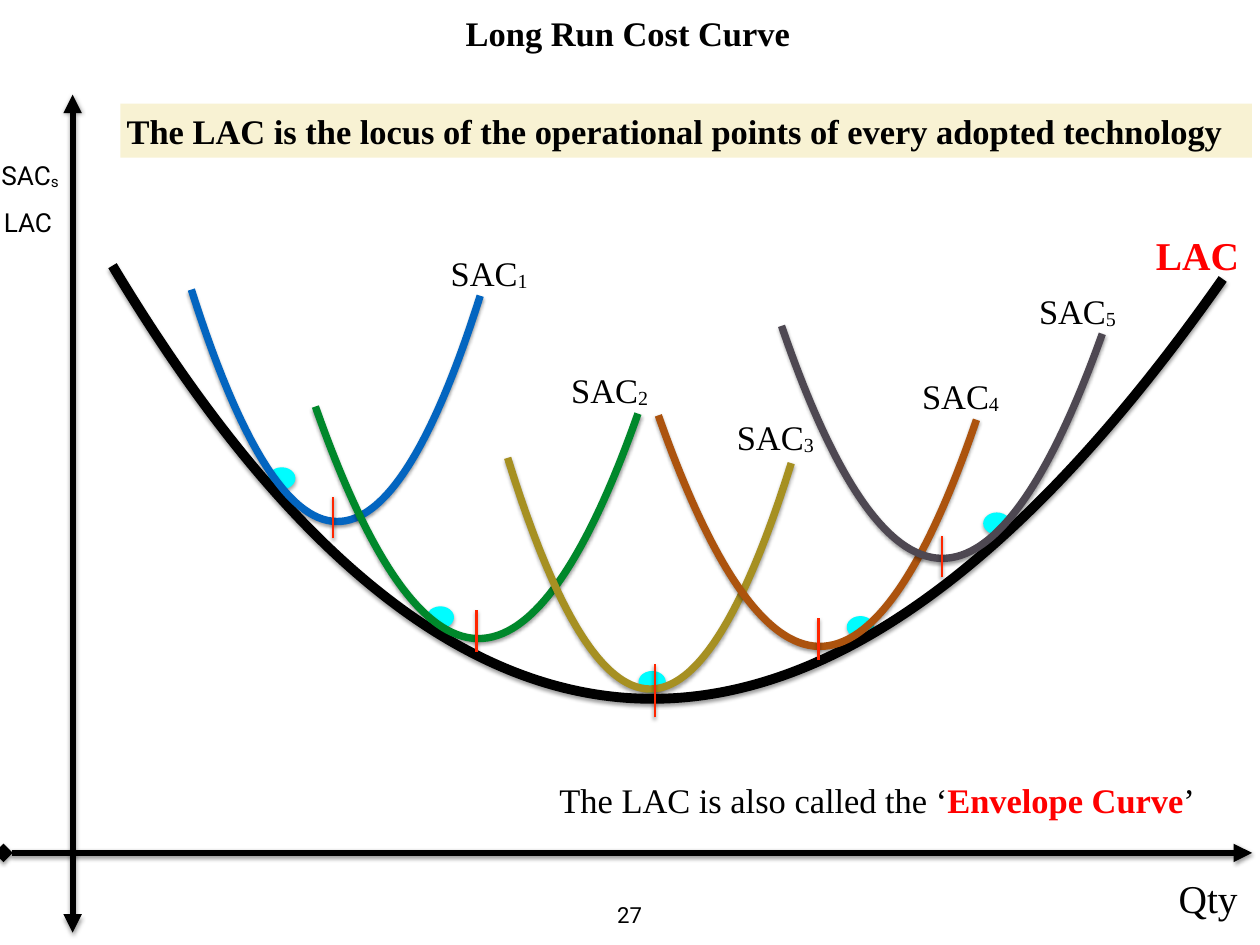
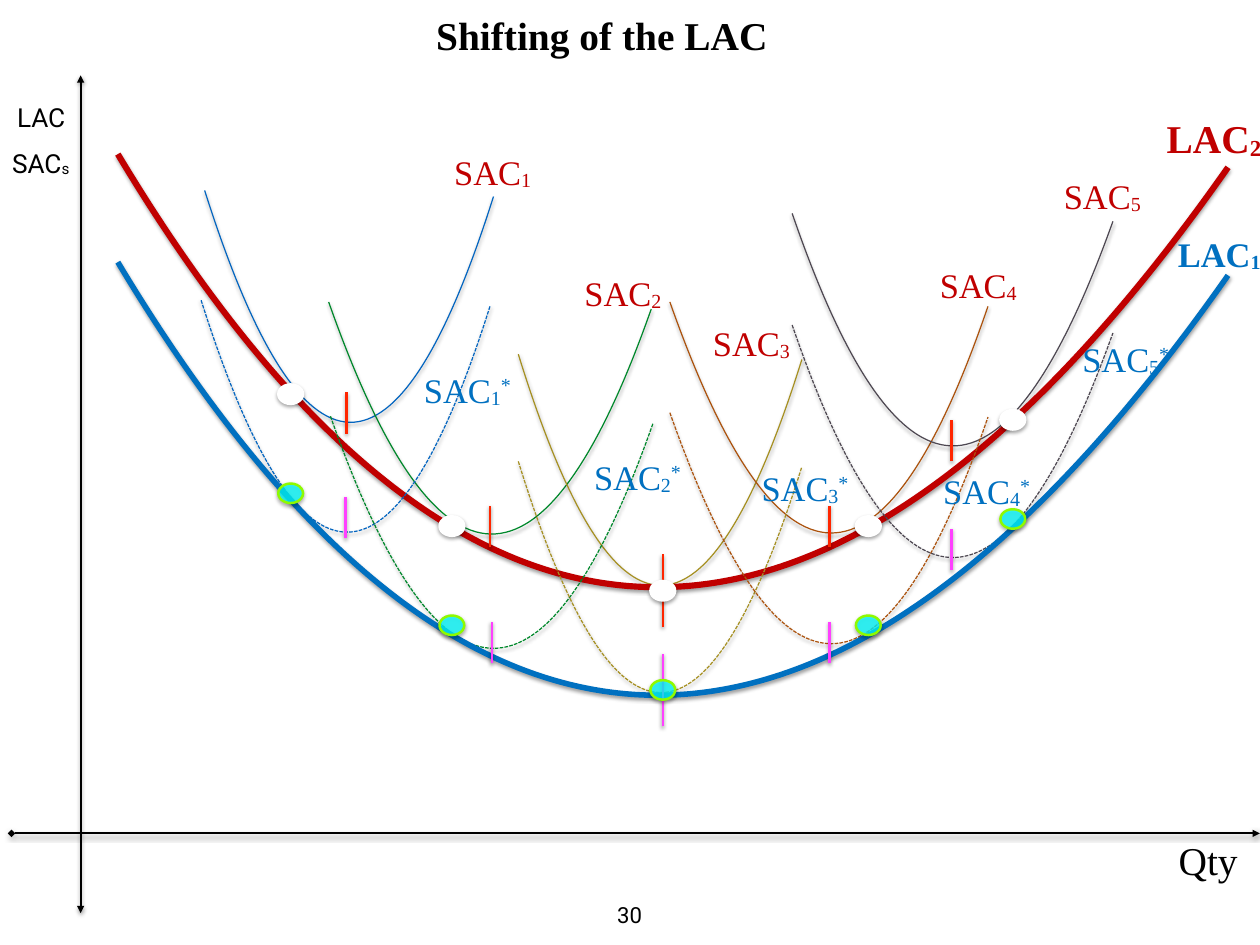
from dataclasses import dataclass
from typing import NamedTuple

from lxml.etree import SubElement
from pptx import Presentation
from pptx.dml.color import RGBColor
from pptx.enum.dml import MSO_LINE
from pptx.enum.shapes import MSO_CONNECTOR, MSO_SHAPE
from pptx.enum.text import MSO_ANCHOR, MSO_AUTO_SIZE as FIT, PP_ALIGN as ALIGN
from pptx.oxml.ns import qn
from pptx.util import Emu, Pt

PX = 9144


@dataclass(frozen=True)
class Theme:
    black: str = "000000"
    red: str = "FF0000"
    dark_red: str = "C00000"
    blue: str = "0070C0"
    cyan: str = "00FDFF"
    lime: str = "8EFA00"
    white: str = "FFFFFF"
    tick: str = "FF2600"
    tick_star: str = "FF40FF"
    banner: str = "F8F2D3"
    serif: str = "Times New Roman"
    sans: str = "Roboto"
    large: float = 32
    medium: float = 28
    axis: float = 21.3
    number: float = 18


THEME = Theme()


class Arc(NamedTuple):
    left_control: tuple
    right_control: tuple
    right_end: tuple


LAC_ARC = Arc((388, 647), (806, 652), (1253, 15))
SAC_ARCS = [
    ("0365C0", Arc((110, 347), (218, 349), (326, 7))),
    ("00882B", Arc((122, 347), (244, 349), (364, 8))),
    ("A69022", Arc((107, 346), (213, 348), (320, 6))),
    ("AC530E", Arc((122, 346), (242, 348), (359, 5))),
    ("4E4852", Arc((119, 347), (240, 350), (362, 9))),
]


def px(value):
    return Emu(round(value * PX))


def apply(target, values):
    for name, value in values.items():
        setattr(target, name, value)


def add_shadow(element, alpha, distance):
    properties = element.find(qn("p:spPr"))
    effects = properties.find(qn("a:effectLst"))
    if effects is None:
        effects = SubElement(properties, qn("a:effectLst"))
    shadow = SubElement(effects, qn("a:outerShdw"), blurRad=str(Pt(3)),
                        dist=str(Pt(distance)), dir="5400000", rotWithShape="0")
    colour = SubElement(shadow, qn("a:srgbClr"), val=THEME.black)
    SubElement(colour, qn("a:alpha"), val=str(alpha * 1000))


class CostDiagram:
    def __init__(self, deck):
        self.deck = deck

    def start(self, title, box, size, number):
        self.slide = self.deck.slides.add_slide(self.deck.slide_layouts[5])
        self.loose()
        heading = self.slide.shapes.title
        self.place(heading, box)
        self.set_runs(heading.text_frame, [(title, {"bold": True})], size=size,
                      inset=6, fit=FIT.NONE, wrap=True, anchor=MSO_ANCHOR.MIDDLE)
        self.text((688, 1012, 45, 42), [(number, {})], size=THEME.number,
                  font=THEME.sans, inset=6)

    def group(self):
        self.shapes = self.slide.shapes.add_group_shape().shapes

    def loose(self):
        self.shapes = self.slide.shapes

    def place(self, shape, box):
        apply(shape, dict(zip(("left", "top", "width", "height"), map(px, box))))

    def set_runs(self, frame, runs, size=THEME.medium, color=THEME.black,
                 font=THEME.serif, inset=7, align=ALIGN.CENTER, wrap=False,
                 fit=FIT.SHAPE_TO_FIT_TEXT, anchor=MSO_ANCHOR.TOP):
        apply(frame, {"word_wrap": wrap, "auto_size": fit, "vertical_anchor": anchor})
        apply(frame, {f"margin_{side}": px(inset)
                      for side in ("left", "top", "right", "bottom")})
        paragraph = frame.paragraphs[0]
        paragraph.alignment = align
        for words, changes in runs:
            run = paragraph.add_run()
            run.text = words
            style = {"size": Pt(size), "name": font, "bold": False, **changes}
            baseline = style.pop("baseline", 0)
            run.font.color.rgb = RGBColor.from_string(style.pop("color", color))
            apply(run.font, style)
            if baseline:
                run._r.get_or_add_rPr().set("baseline", str(baseline * 1000))

    def text(self, box, runs, **style):
        holder = self.shapes.add_textbox(*map(px, box))
        self.set_runs(holder.text_frame, runs, **style)

    def label(self, box, name, sub, star=False, bold=False, **style):
        runs = [(name, {"bold": bold}), (sub, {"bold": bold, "baseline": -6})]
        if star:
            runs.append(("*", {"baseline": 32}))
        self.text(box, runs, **style)

    def banner(self, box, words):
        band = self.shapes.add_shape(MSO_SHAPE.RECTANGLE, *map(px, box))
        band.shadow.inherit = False
        band.fill.solid()
        band.fill.fore_color.rgb = RGBColor.from_string(THEME.banner)
        band.line.fill.background()
        self.set_runs(band.text_frame, [(words, {"bold": True})],
                      align=ALIGN.JUSTIFY, wrap=True)

    def stroke(self, shape, color, width, dash=None):
        shape.line.color.rgb = RGBColor.from_string(color)
        apply(shape.line, {"width": Pt(width), "dash_style": dash})

    def line(self, start, end, color, width, head=None, tail=None):
        link = self.shapes.add_connector(MSO_CONNECTOR.STRAIGHT,
                                         *map(px, (*start, *end)))
        self.stroke(link, color, width)
        outline = link.element.find(f"{qn('p:spPr')}/{qn('a:ln')}")
        for tag, kind in (("a:headEnd", head), ("a:tailEnd", tail)):
            if kind:
                SubElement(outline, qn(tag), type=kind)
        add_shadow(link.element, 38, 1.6)

    def axes(self, x, y, width):
        self.line((x, y + 90), (x, y - 856), THEME.black, width,
                  "triangle", "triangle")
        self.line((x - 78, y), (x + 1331, y), THEME.black, width,
                  "diamond", "triangle")

    def axis_labels(self, lac, sac, qty):
        axis = {"size": THEME.axis, "font": THEME.sans}
        self.text((*qty, 83, 68), [("Qty", {})], size=THEME.large)
        self.text((*lac, 73, 50), [("LAC", {})], **axis)
        self.label((*sac, 84, 50), "SAC", "s", **axis)

    def curve(self, start, arc, color, width, dash=None):
        points = [start] + [(start[0] + dx, start[1] + dy) for dx, dy in arc]
        steps = [step / 200 for step in range(201)]
        weights = [((1 - t) ** 3, 3 * t * (1 - t) ** 2, 3 * t * t * (1 - t), t ** 3)
                   for t in steps]
        lowest = max((sum(w * p[1] for w, p in zip(row, points)),
                      sum(w * p[0] for w, p in zip(row, points))) for row in weights)
        pen = self.shapes.build_freeform(*map(px, start))
        pen.add_line_segments([tuple(map(px, lowest[::-1])),
                               tuple(map(px, points[-1]))], close=False)
        bow = pen.convert_to_shape()
        straights = bow.element.findall(".//" + qn("a:lnTo"))
        outline = straights[0].getparent()
        for straight in straights:
            outline.remove(straight)
        bend = SubElement(outline, qn("a:cubicBezTo"))
        for x, y in points[1:]:
            SubElement(bend, qn("a:pt"), x=str(px(x) - bow.left),
                       y=str(px(y) - bow.top))
        bow.fill.background()
        bow.shadow.inherit = False
        self.stroke(bow, color, width, dash)
        add_shadow(bow.element, 38, 1.6)

    def tick(self, x, top, height, color):
        self.line((x, top + height), (x, top), color, 2)

    def dot(self, left, top, fill, edge, alpha=100):
        spot = self.shapes.add_shape(MSO_SHAPE.OVAL, *map(px, (left, top, 28, 22)))
        spot.fill.solid()
        spot.fill.fore_color.rgb = RGBColor.from_string(fill)
        if alpha < 100:
            tint = spot.element.find(f"{qn('p:spPr')}/{qn('a:solidFill')}/{qn('a:srgbClr')}")
            SubElement(tint, qn("a:alpha"), val=str(alpha * 1000))
        spot.shadow.inherit = False
        self.stroke(spot, edge, 2)
        add_shadow(spot.element, 35, 1.8)


def long_run_slide(diagram):
    diagram.start("Long Run Cost Curve", (104, 4, 1209, 65), THEME.medium, "27")
    diagram.group()
    for tangency in ((304, 529), (483, 686), (722, 759), (957, 697), (1111, 580)):
        diagram.dot(*tangency, THEME.cyan, THEME.cyan)
    diagram.curve((127, 300), LAC_ARC, THEME.black, 8)
    diagram.text((1297, 254, 109, 68), [("LAC", {"bold": True})],
                 size=THEME.large, color=THEME.red)
    diagram.loose()
    diagram.axes(82, 963, 5)
    diagram.axis_labels((-5, 226), (-8, 173), (1322, 980))
    plants = [
        ((216, 327), (376, 561, 47), (500, 278)),
        ((356, 459), (538, 689, 47), (636, 410)),
        ((573, 517), (739, 750, 60), (823, 463)),
        ((743, 469), (924, 698, 47), (1032, 416)),
        ((882, 368), (1063, 605, 47), (1164, 321)),
    ]
    for number, ((color, arc), (start, minimum, name)) in enumerate(
            zip(SAC_ARCS, plants), 1):
        diagram.group()
        diagram.curve(start, arc, color, 6)
        diagram.tick(*minimum, THEME.tick)
        diagram.label((*name, 104, 61), "SAC", str(number))
    diagram.loose()
    diagram.banner((136, 117, 1277, 61), "The LAC is the locus of the operational "
                   "points of every adopted technology")
    diagram.text((542, 873, 896, 61),
                 [("The LAC is also called the ‘", {}),
                  ("Envelope Curve", {"color": THEME.red, "bold": True}),
                  ("’", {})], wrap=True)


def cost_family(diagram, starts, lac_start, lac_color, lac_width, ticks,
                tick_color, dot_rise, dot_style, dash=None):
    for start, (color, arc) in zip(starts, SAC_ARCS):
        diagram.curve(start, arc, color, 1, dash)
    diagram.curve(lac_start, LAC_ARC, lac_color, lac_width)
    for (x, top), height in zip(ticks, (47, 47, 82, 47, 47)):
        diagram.tick(x, top, height, tick_color)
    for left, top in ((314, 546), (496, 695), (734, 768), (966, 695), (1129, 575)):
        diagram.dot(left, top - dot_rise, *dot_style)


def shifting_slide(diagram):
    diagram.start("Shifting of the LAC", (381, 5, 597, 68), THEME.large, "30")
    diagram.group()
    names = ((509, 169), (656, 305), (801, 362), (1057, 296), (1197, 196))
    for number, name in enumerate(names, 1):
        diagram.label((*name, 94, 51), "SAC", str(number),
                      color=THEME.dark_red, inset=2)
    cost_family(diagram,
                ((231, 215), (371, 341), (585, 400), (756, 341), (894, 241)),
                (133, 174), THEME.dark_red, 5,
                ((391, 443), (553, 571), (748, 626), (936, 571), (1074, 474)),
                THEME.tick, 112, (THEME.white, THEME.white))
    diagram.label((1308, 122, 124, 68), "LAC", "2", bold=True,
                  size=THEME.large, color=THEME.dark_red)
    diagram.loose()
    diagram.axes(91, 941, 1.5)
    diagram.axis_labels((10, 107), (4, 159), (1322, 937))
    diagram.group()
    cost_family(diagram,
                ((227, 339), (373, 470), (585, 521), (756, 466), (894, 367)),
                (133, 296), THEME.blue, 4.5,
                ((390, 561), (555, 702), (748, 738), (936, 702), (1074, 597)),
                THEME.tick_star, 0, (THEME.cyan, THEME.lime, 75),
                MSO_LINE.SQUARE_DOT)
    diagram.label((1321, 256, 110, 61), "LAC", "1", bold=True, color=THEME.blue)
    star_names = ((469, 410), (661, 508), (850, 520), (1055, 524), (1212, 375))
    for number, name in enumerate(star_names, 1):
        diagram.label((*name, 117, 61), "SAC", str(number), star=True,
                      color=THEME.blue)


def main():
    deck = Presentation()
    apply(deck, {"slide_width": px(1422), "slide_height": px(1067)})
    diagram = CostDiagram(deck)
    long_run_slide(diagram)
    shifting_slide(diagram)
    deck.save("out.pptx")


if __name__ == "__main__":
    main()
